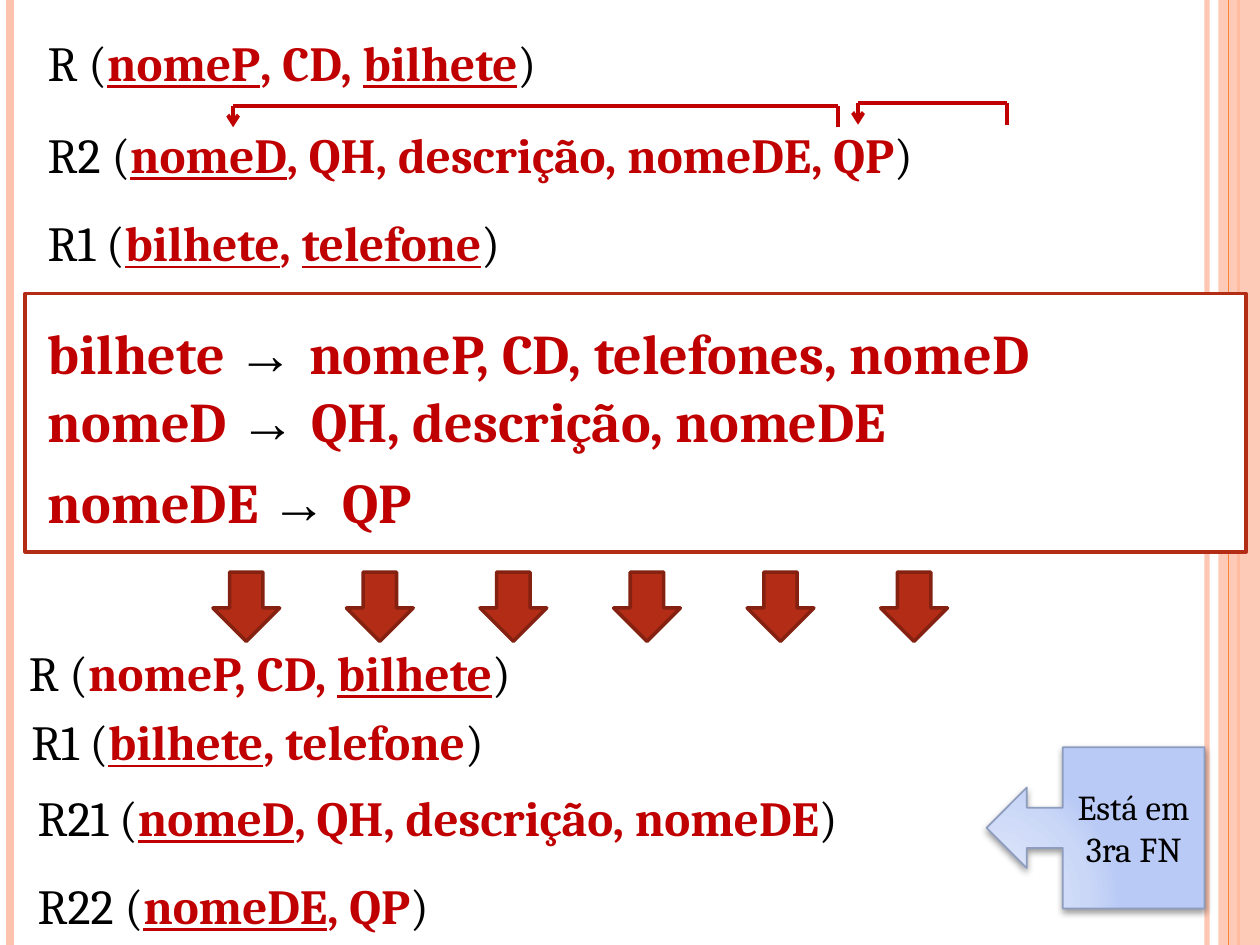
import pptx
import pptx.dml.color
import pptx.enum.shapes
import pptx.enum.text
import pptx.oxml
import pptx.oxml.ns
import pptx.util

SHAPE = pptx.enum.shapes.MSO_SHAPE
ALIGN = pptx.enum.text.PP_ALIGN

COLORS = {
    "text": "000000",
    "attribute": "C00000",
    "paper": "FFFFFF",
    "peach": "FEC3AE",
    "orange": "FE8637",
    "brick": "B32C16",
    "brick_dark": "842110",
    "note_line": "8D9CBF",
}
NOTE_GRADIENT = {0: "DEE6FA", 30: "DBE4F9", 75: "CAD7F7", 100: "B8CAF5"}
FONT = "Cambria"
ARROW_FONT = "Arial"

# The slide is a grid of 100 columns and 75 rows
COLUMNS, ROWS = 100, 75
CELL = pptx.util.Inches(0.1)
RELATION_HEIGHT, DEPENDENCY_HEIGHT = 5.7, 6.4

# Left, top, width, name, attributes; key attributes stand between underscores
RELATIONS = [
    (2.8, 2.1, 75.5, "R", "_nomeP_, CD, _bilhete_"),
    (2.8, 9.4, 89.8, "R2", "_nomeD_, QH, descrição, nomeDE, QP"),
    (2.8, 16.4, 66.9, "R1", "_bilhete_, _telefone_"),
    (1.3, 50.5, 75.5, "R", "nomeP, CD, _bilhete_"),
    (1.5, 56, 66.9, "R1", "_bilhete_, telefone"),
    (2, 62, 89.8, "R21", "_nomeD_, QH, descrição, nomeDE"),
    (2, 69, 89.8, "R22", "_nomeDE_, QP"),
]
# Top, width, determinant, dependents
DEPENDENCIES = [
    (24.8, 96.9, "bilhete", "nomeP, CD, telefones, nomeD"),
    (30.2, 83.5, "nomeD", "QH, descrição, nomeDE"),
    (36.6, 39.2, "nomeDE", "QP"),
]


def grid(*cells):
    return [round(cell * CELL) for cell in cells]


def rgb(name):
    return pptx.dml.color.RGBColor.from_string(COLORS[name])


def xml(markup):
    """Read one element whose root carries the drawing namespace."""
    return pptx.oxml.parse_xml(markup.replace(" NS", " " + pptx.oxml.ns.nsdecls("a"), 1))


def set_opacity(properties, percent):
    color = next(properties.iter(pptx.oxml.ns.qn("a:srgbClr")))
    color.append(xml(f'<a:alpha NS val="{percent * 1000}"/>'))


def add_line(slide, start, end, color, weight, arrow=False, opacity=100):
    line = slide.shapes.add_connector(
        pptx.enum.shapes.MSO_CONNECTOR.STRAIGHT, *grid(*start, *end))
    line.line.color.rgb = rgb(color)
    line.line.width = pptx.util.Pt(weight)
    properties = line._element.spPr
    if opacity < 100:
        set_opacity(properties, opacity)
    if arrow:
        line.line._get_or_add_ln().append(xml('<a:tailEnd NS type="arrow"/>'))
    properties.append(xml("<a:effectLst NS/>"))


def add_block(slide, kind, box, fill=None, outline=None, weight=2):
    block = slide.shapes.add_shape(kind, *grid(*box))
    block.shadow.inherit = False
    if fill:
        block.fill.solid()
        block.fill.fore_color.rgb = rgb(fill)
    if outline:
        block.line.color.rgb = rgb(outline)
        block.line.width = pptx.util.Pt(weight)
    else:
        block.line.fill.background()
    return block


def add_paragraph_box(slide, box, size, wrap):
    frame = slide.shapes.add_textbox(*grid(*box)).text_frame
    frame.word_wrap = wrap
    paragraph = frame.paragraphs[0]
    paragraph.font.size = pptx.util.Pt(size)
    return paragraph


def add_run(paragraph, text, color, font=FONT, bold=False, underline=False):
    run = paragraph.add_run()
    run.text = text
    run.font.name = font
    run.font.color.rgb = rgb(color)
    run.font.bold = bold
    run.font.underline = underline


def add_relation(slide, left, top, width, name, attributes):
    relation = add_paragraph_box(slide, (left, top, width, RELATION_HEIGHT), 28, True)
    relation.alignment = ALIGN.JUSTIFY
    add_run(relation, f"{name} (", "text")
    for index, part in enumerate(attributes.split("_")):
        if part:
            add_run(relation, part, "attribute", bold=True, underline=index % 2 == 1)
    add_run(relation, ")", "text")


def add_dependency(slide, top, width, determinant, dependents):
    dependency = add_paragraph_box(slide, (2.8, top, width, DEPENDENCY_HEIGHT), 32, False)
    add_run(dependency, f"{determinant} ", "attribute", bold=True)
    add_run(dependency, "→ ", "text", font=ARROW_FONT)
    add_run(dependency, dependents, "attribute", bold=True)


def add_bracket(slide, left, right, top, drop=1.7):
    """Link two attributes, with the arrowhead on the left one."""
    add_line(slide, (right, top), (left, top), "attribute", 2.25)
    add_line(slide, (right, top), (right, top + drop), "attribute", 2.25)
    add_line(slide, (left, top), (left, top + drop), "attribute", 2.25, arrow=True)


def add_side_bands(slide):
    def rule(column, color, weight, opacity=100):
        add_line(slide, (column, 0), (column, ROWS), color, weight, opacity=opacity)

    rule(95.8, "peach", 3, opacity=93)
    rule(0.8, "peach", 4.5)
    rule(98.3, "orange", 1.5)
    band = add_block(slide, SHAPE.RECTANGLE, (96.7, 0, COLUMNS - 96.7, ROWS), "peach")
    set_opacity(band._element.spPr, 87)
    rule(97.5, "orange", 0.75)


def add_note(slide, text):
    note = add_block(slide, SHAPE.LEFT_ARROW_CALLOUT, (78.3, 59.3, 17.3, 12.8),
                     outline="note_line", weight=1)
    # Radial gradient and soft shadow
    stops = "".join(f'<a:gs pos="{place * 1000}"><a:srgbClr val="{color}"/></a:gs>'
                    for place, color in NOTE_GRADIENT.items())
    properties = note._element.spPr
    properties.insert(2, xml(
        f'<a:gradFill NS rotWithShape="1"><a:gsLst>{stops}</a:gsLst><a:path path="circle">'
        '<a:fillToRect l="5000" t="100000" r="120000" b="10000"/></a:path></a:gradFill>'))
    properties.find(pptx.oxml.ns.qn("a:effectLst")).append(xml(
        '<a:outerShdw NS blurRad="50800" dist="25400" dir="5400000" rotWithShape="0">'
        '<a:srgbClr val="000000"><a:alpha val="40000"/></a:srgbClr></a:outerShdw>'))
    note.text_frame.word_wrap = True
    note.text_frame.vertical_anchor = pptx.enum.text.MSO_ANCHOR.MIDDLE
    label = note.text_frame.paragraphs[0]
    label.alignment = ALIGN.CENTER
    label.font.size = pptx.util.Pt(20)
    add_run(label, text, "text")


def main():
    deck = pptx.Presentation()
    deck.slide_width, deck.slide_height = grid(COLUMNS, ROWS)
    slide = deck.slides.add_slide(deck.slide_layouts[6])

    add_side_bands(slide)

    # Relations before and after the decomposition
    for relation in RELATIONS:
        add_relation(slide, *relation)

    # Functional dependencies
    add_block(slide, SHAPE.RECTANGLE, (2, 23.3, 96.9, 20.5), "paper", "brick")
    for dependency in DEPENDENCIES:
        add_dependency(slide, *dependency)

    # Row of down arrows
    for step in range(6):
        add_block(slide, SHAPE.DOWN_ARROW, (16.9 + 10.6 * step, 45.4, 5.3, 5.5),
                  "brick", "brick_dark")

    # Dependency brackets above R2
    add_bracket(slide, 18.5, 66.5, 8.4)
    add_bracket(slide, 68.1, 79.9, 8.2)

    add_note(slide, "Está em 3ra FN")
    deck.save("out.pptx")


if __name__ == "__main__":
    main()
